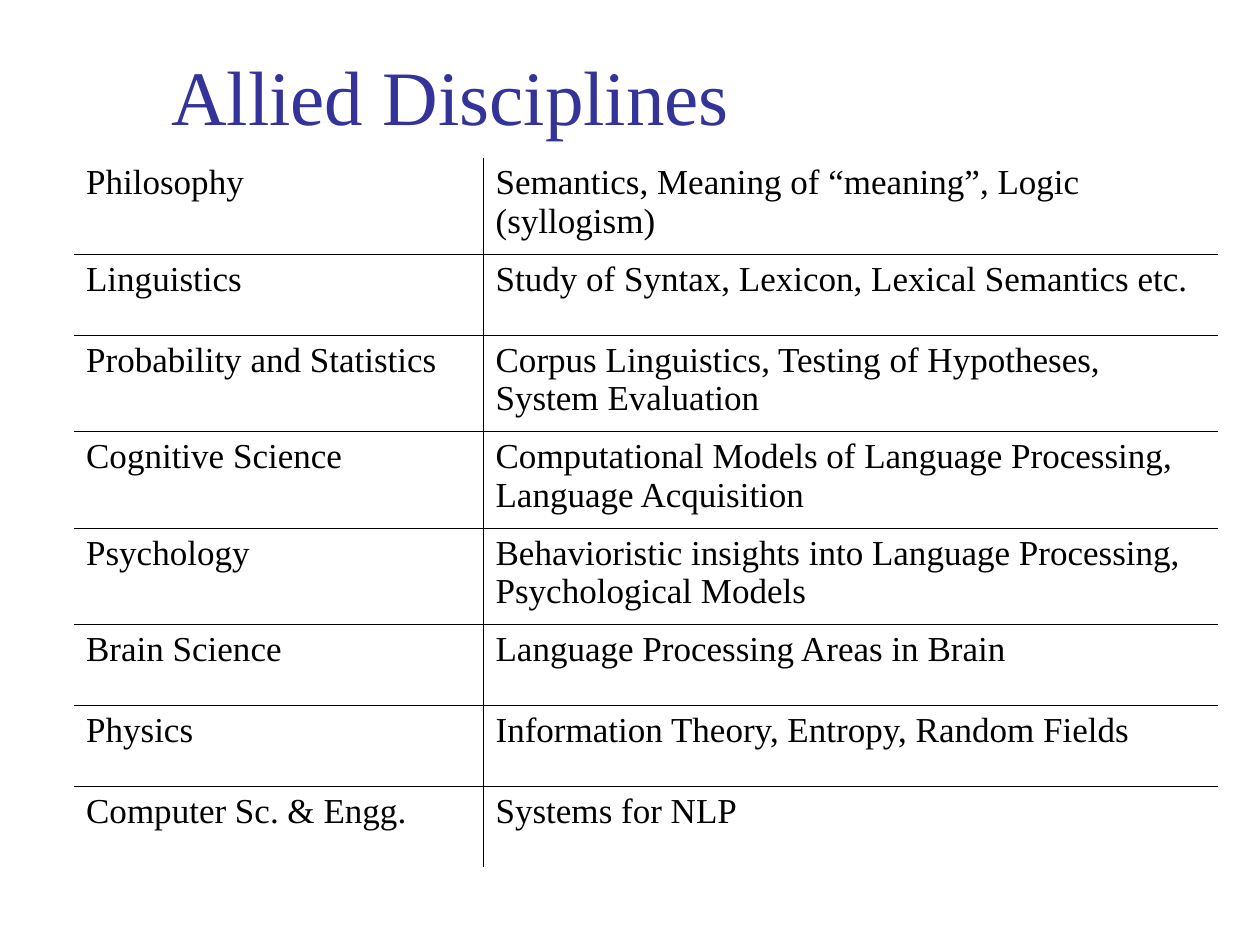
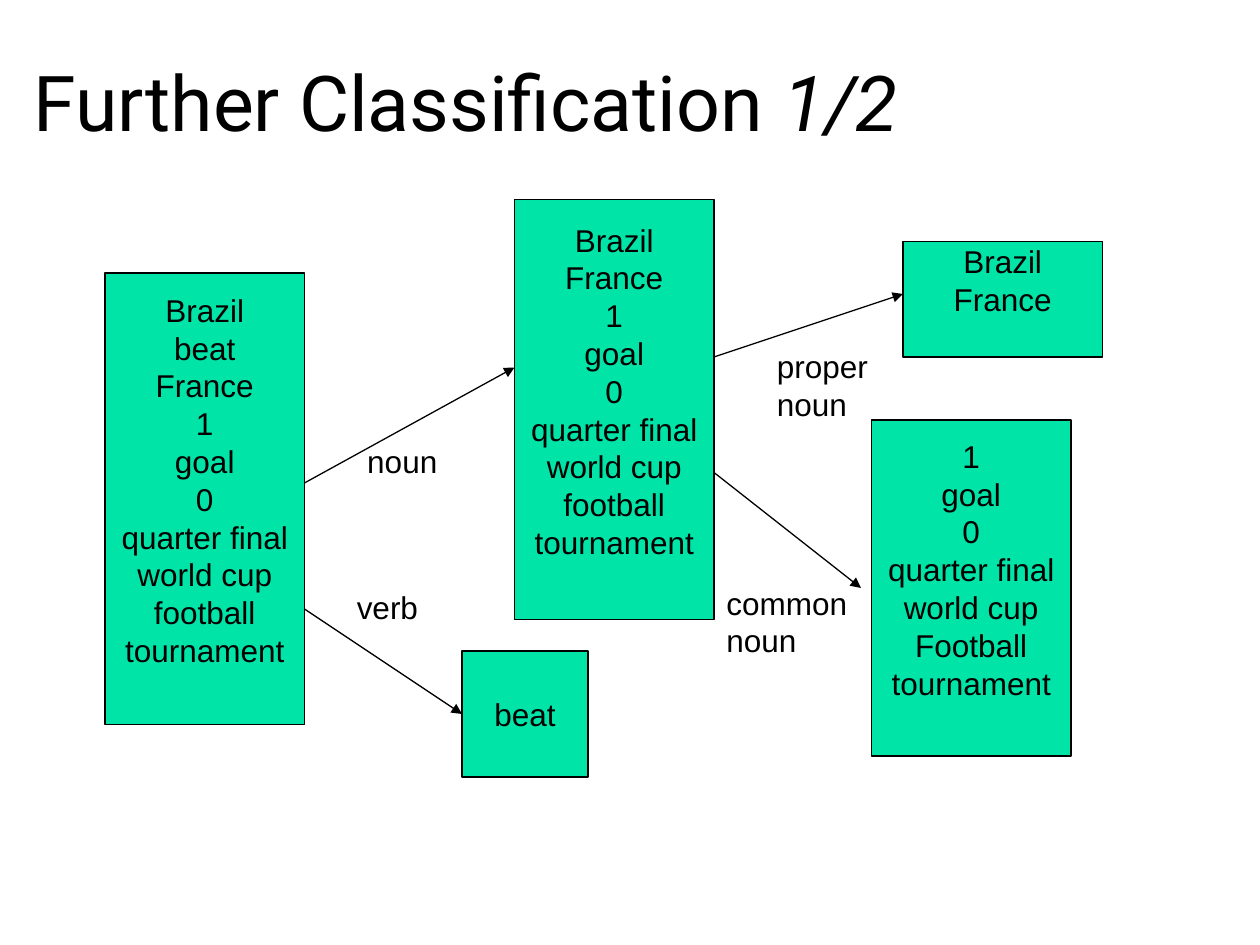
"""Build two slides: a table of allied disciplines and a word classification tree."""
from lxml import etree
from pptx import Presentation
from pptx import util as u
from pptx.dml.color import RGBColor
from pptx.enum import shapes, text
from pptx.oxml import ns

PX = 7620
BLACK = RGBColor(0x00, 0x00, 0x00)
INDIGO = RGBColor(0x33, 0x33, 0x99)
GREEN = RGBColor(0x00, 0xE4, 0xA8)
BORDER = u.Pt(0.45)
LINE = u.Pt(0.75)

TITLE_FONT = {"size": u.Pt(44)}
CELL_FONT = {"name": "Times New Roman", "size": u.Pt(20)}
WORD_FONT = {"name": "Arial", "size": u.Pt(18)}
CELL_LEADING = u.Pt(22)
WORD_LEADING = u.Pt(21.6)
WORD_GAP = 36

TABLE_AT = (70, 150)
COLUMN_WIDTHS = (390, 700)
TALL, SHORT = 92, 77
DISCIPLINES = [
    (TALL, "Philosophy", "Semantics, Meaning of “meaning”, Logic (syllogism)"),
    (SHORT, "Linguistics", "Study of Syntax, Lexicon, Lexical Semantics etc."),
    (TALL, "Probability and Statistics",
     "Corpus Linguistics, Testing of Hypotheses, System Evaluation"),
    (TALL, "Cognitive Science",
     "Computational Models of Language Processing, Language Acquisition"),
    (TALL, "Psychology",
     "Behavioristic insights into Language Processing, Psychological Models"),
    (SHORT, "Brain Science", "Language Processing Areas in Brain"),
    (SHORT, "Physics", "Information Theory, Entropy, Random Fields"),
    (SHORT, "Computer Sc. & Engg.", "Systems for NLP"),
]

PROPER = ["Brazil", "France"]
COUNTS = ["1", "goal", "0", "quarter final", "world cup"]
EVENT = ["football", "tournament"]
WORD_BOXES = [
    ((100, 260, 190, 430), ["Brazil", "beat", "France"] + COUNTS + EVENT),
    ((490, 190, 190, 400), PROPER + COUNTS + EVENT),
    ((440, 620, 120, 120), ["beat"]),
    ((860, 230, 190, 110), PROPER),
    ((830, 400, 190, 320), COUNTS + ["Football", "tournament"]),
]
ARROWS = [
    (290, 460, 490, 350),
    (290, 580, 440, 680),
    (680, 340, 860, 280),
    (680, 450, 820, 560),
]
LABELS = [
    ((338, 415, 94, 48), ["noun"]),
    ((328, 554, 86, 48), ["verb"]),
    ((728, 325, 114, 84), ["proper", "noun"]),
    ((680, 550, 143, 84), ["common", "noun"]),
]


def scaled(lengths):
    return [length * PX for length in lengths]


def assign(target, values):
    for name, value in values.items():
        setattr(target, name, value)


def style_font(font, values, color=BLACK):
    assign(font, values)
    font.color.rgb = color


def write_lines(frame, lines, font, leading, align=text.PP_ALIGN.LEFT):
    for index, line in enumerate(lines):
        para = frame.add_paragraph() if index else frame.paragraphs[0]
        assign(para, {"alignment": align, "line_spacing": leading})
        span = para.add_run()
        span.text = line
        style_font(span.font, font)


def add_page(deck, at, spans, font_name, color):
    page = deck.slides.add_slide(deck.slide_layouts[5])
    title = page.shapes.title
    assign(title, dict(zip(("left", "top", "width", "height"), scaled(at))))
    frame = title.text_frame
    assign(frame, {"auto_size": text.MSO_AUTO_SIZE.NONE, "word_wrap": True,
                   "vertical_anchor": text.MSO_ANCHOR.BOTTOM})
    para = frame.paragraphs[0]
    para.alignment = text.PP_ALIGN.LEFT
    for words, italic in spans:
        span = para.add_run()
        span.text = words
        style_font(span.font, {**TITLE_FONT, "name": font_name, "italic": italic}, color)
    return page


def set_borders(cell, drawn):
    properties = cell._tc.get_or_add_tcPr()
    for side in "LRTB":
        line = etree.SubElement(properties, ns.qn("a:ln" + side), w=str(BORDER))
        if side in drawn:
            fill = etree.SubElement(line, ns.qn("a:solidFill"))
            etree.SubElement(fill, ns.qn("a:srgbClr"), val=str(BLACK))
        else:
            etree.SubElement(line, ns.qn("a:noFill"))


def add_disciplines(page):
    heights = [row[0] for row in DISCIPLINES]
    size = (sum(COLUMN_WIDTHS), sum(heights))
    table = page.shapes.add_table(len(heights), len(COLUMN_WIDTHS),
                                  *scaled(TABLE_AT + size)).table
    assign(table, {"first_row": False, "horz_banding": False})
    for column, width in zip(table.columns, COLUMN_WIDTHS):
        column.width = width * PX
    for r, (height, *entries) in enumerate(DISCIPLINES):
        table.rows[r].height = height * PX
        for c, entry in enumerate(entries):
            cell = table.cell(r, c)
            inner = "L" if c else "R"
            above = "T" if r else ""
            below = "B" if r < len(heights) - 1 else ""
            set_borders(cell, inner + above + below)
            cell.fill.background()
            write_lines(cell.text_frame, [entry], CELL_FONT, CELL_LEADING)


def add_word_box(page, at, words):
    box = page.shapes.add_shape(shapes.MSO_SHAPE.RECTANGLE, *scaled(at))
    box.shadow.inherit = False
    box.fill.solid()
    box.fill.fore_color.rgb = GREEN
    box.line.color.rgb = BLACK
    box.line.width = LINE
    gap = WORD_GAP if len(words) > 1 else 0
    assign(box.text_frame, {"word_wrap": False, "margin_top": 0, "margin_bottom": gap * PX,
                            "vertical_anchor": text.MSO_ANCHOR.MIDDLE})
    write_lines(box.text_frame, words, WORD_FONT, WORD_LEADING, text.PP_ALIGN.CENTER)


def add_arrow(page, ends):
    arrow = page.shapes.add_connector(shapes.MSO_CONNECTOR.STRAIGHT, *scaled(ends))
    arrow.line.color.rgb = BLACK
    arrow.line.width = LINE
    etree.SubElement(arrow.line._get_or_add_ln(), ns.qn("a:tailEnd"), type="triangle")
    etree.SubElement(arrow._element.spPr, ns.qn("a:effectLst"))


def add_label(page, at, words):
    frame = page.shapes.add_textbox(*scaled(at)).text_frame
    assign(frame, {"word_wrap": False, "auto_size": text.MSO_AUTO_SIZE.SHAPE_TO_FIT_TEXT})
    write_lines(frame, words, WORD_FONT, WORD_LEADING)


def main():
    deck = Presentation()
    assign(deck, {"slide_width": 1200 * PX, "slide_height": 900 * PX})
    page = add_page(deck, (151, 28, 1022, 112), [("Allied Disciplines", False)],
                    "Times New Roman", INDIGO)
    add_disciplines(page)
    page = add_page(deck, (20, 80, 1082, 66),
                    [("Further Classification ", False), ("1/2", True)], "Roboto", BLACK)
    for at, words in WORD_BOXES:
        add_word_box(page, at, words)
    for ends in ARROWS:
        add_arrow(page, ends)
    for at, words in LABELS:
        add_label(page, at, words)
    deck.save("out.pptx")


if __name__ == "__main__":
    main()
